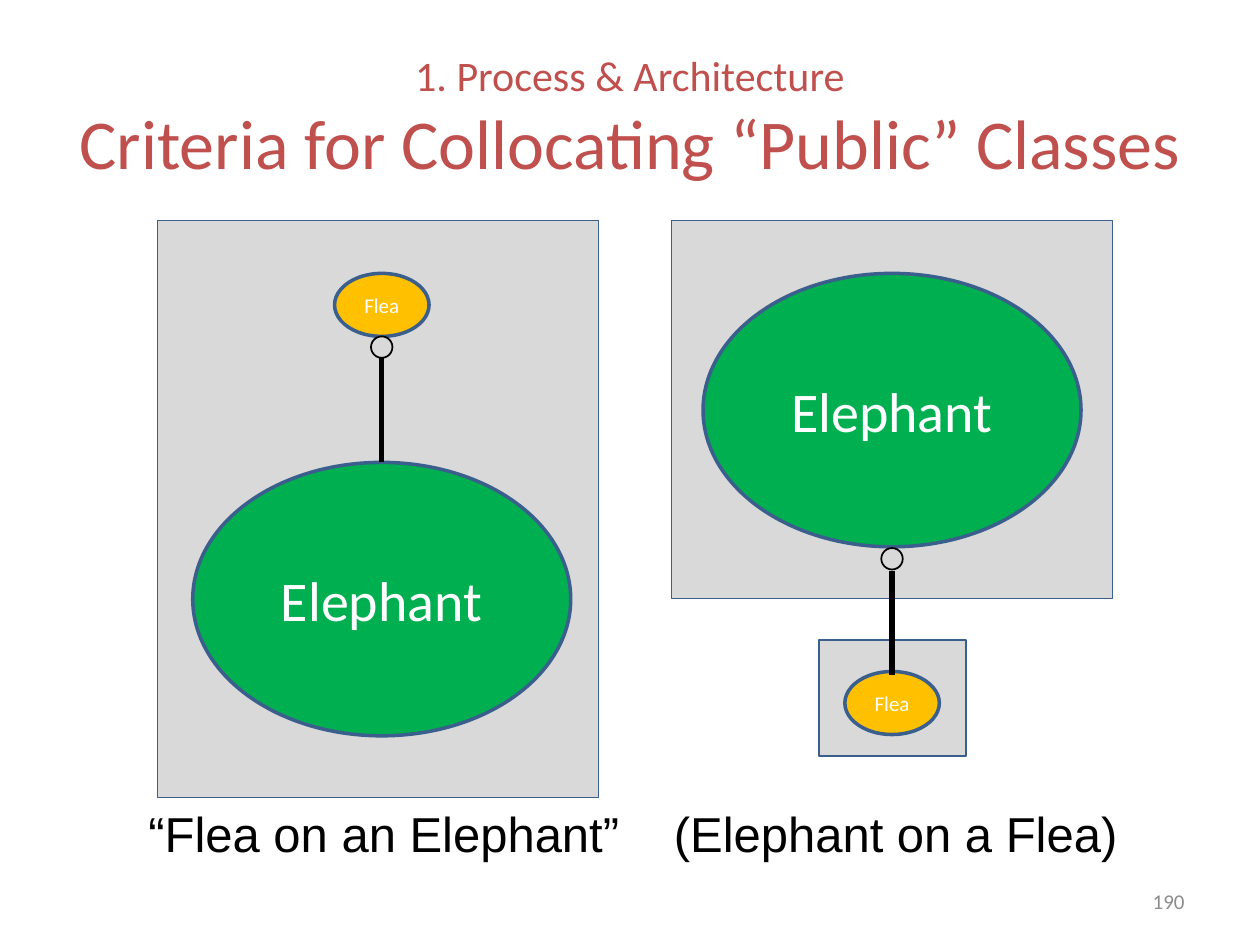
from lxml import etree
from pptx import Presentation
from pptx.dml.color import RGBColor
from pptx.enum.shapes import MSO_CONNECTOR, MSO_SHAPE
from pptx.enum.text import MSO_ANCHOR, PP_ALIGN
from pptx.oxml.ns import qn
from pptx.util import Inches, Pt

RED = RGBColor(0xC0, 0x50, 0x4D)
GREY = RGBColor(0xD9, 0xD9, 0xD9)
DIM = RGBColor(0x8C, 0x8C, 0x8C)
BLUE = RGBColor(0x3A, 0x5F, 0x8C)
GREEN = RGBColor(0x00, 0xB0, 0x50)
GOLD = RGBColor(0xFF, 0xC0, 0x00)
WHITE = RGBColor(0xFF, 0xFF, 0xFF)
BLACK = RGBColor(0, 0, 0)

RECT = MSO_SHAPE.RECTANGLE
OVAL = MSO_SHAPE.OVAL
LINE = MSO_CONNECTOR.STRAIGHT
LEFT, MID, RIGHT = PP_ALIGN.LEFT, PP_ALIGN.CENTER, PP_ALIGN.RIGHT
TOP, CENTER = MSO_ANCHOR.TOP, MSO_ANCHOR.MIDDLE

BIG_W, BIG_H = 3, 2.17
FLEA_W, FLEA_H = 0.75, 0.5
RING = 0.17


def style(frame, sizes, color, font="Calibri", align=MID, anchor=CENTER):
    """Format the runs of a text frame, one size per run."""
    frame.vertical_anchor = anchor
    para = frame.paragraphs[0]
    para.alignment = align
    for run, size in zip(para.runs, sizes):
        run.font.size = Pt(size)
        run.font.name = font
        run.font.color.rgb = color


def add_text(slide, box, text, sizes, color, wrap=False, **look):
    """Place a text box."""
    frame = slide.shapes.add_textbox(*map(Inches, box)).text_frame
    frame.word_wrap = wrap
    frame.text = text
    style(frame, sizes, color, **look)


def add_form(slide, kind, box, fill, edge=BLUE, width=1):
    """Place a filled and outlined shape."""
    form = slide.shapes.add_shape(kind, *map(Inches, box))
    form.shadow.inherit = False
    form.fill.solid()
    form.fill.fore_color.rgb = fill
    form.line.color.rgb = edge
    form.line.width = Pt(width)
    return form


def add_beast(slide, mid, top, name):
    """Place a named oval centred on mid."""
    if name == "Flea":
        wide, high, fill, size = FLEA_W, FLEA_H, GOLD, 12
    else:
        wide, high, fill, size = BIG_W, BIG_H, GREEN, 32
    oval = add_form(slide, OVAL, (mid - wide / 2, top, wide, high), fill, width=2)
    oval.text_frame.text = name
    style(oval.text_frame, [size], WHITE)


def add_link(slide, mid, top, start, end):
    """Place a ring and the stem that hangs below it."""
    add_form(slide, OVAL, (mid - RING / 2, top, RING, RING), GREY, BLACK)
    stem = slide.shapes.add_connector(
        LINE, Inches(mid), Inches(start), Inches(mid), Inches(end))
    stem.line.color.rgb = BLACK
    stem.line.width = Pt(3)
    etree.SubElement(stem._element.spPr, qn("a:effectLst"))


def add_pair(slide, boxes, mid, upper, lower, link):
    """Place grey boxes, two beasts at (name, top) and the link between."""
    for box in boxes:
        add_form(slide, RECT, box, GREY)
    for name, top in (upper, lower):
        add_beast(slide, mid, top, name)
    add_link(slide, mid, *link)


def main():
    """Build the slide."""
    deck = Presentation()
    deck.slide_width, deck.slide_height = Inches(10), Inches(7.5)
    slide = deck.slides.add_slide(deck.slide_layouts[6])
    add_text(slide, (0.5, 0.3, 9, 1.25),
             "1. Process & Architecture\vCriteria for Collocating “Public” Classes",
             [24, 40], RED)
    add_pair(slide, [(1.25, 1.75, 3.5, 4.58)], 3.03,
             ("Flea", 2.17), ("Elephant", 3.67), (2.67, 2.83, 3.67))
    add_pair(slide, [(6.5, 5.08, 1.17, 0.92), (5.33, 1.75, 3.5, 3)], 7.08,
             ("Elephant", 2.17), ("Flea", 5.33), (4.35, 4.53, 5.36))
    for left, wide, text in ((1.08, 3.99, "“Flea on an Elephant”"),
                             (5.25, 3.77, "(Elephant on a Flea)")):
        add_text(slide, (left, 6.33, wide, 0.57), text, [28], BLACK,
                 font="Arial", align=LEFT, anchor=TOP)
    add_text(slide, (7.17, 6.95, 2.33, 0.4), "190", [12], DIM, wrap=True, align=RIGHT)
    deck.save("out.pptx")


if __name__ == "__main__":
    main()
